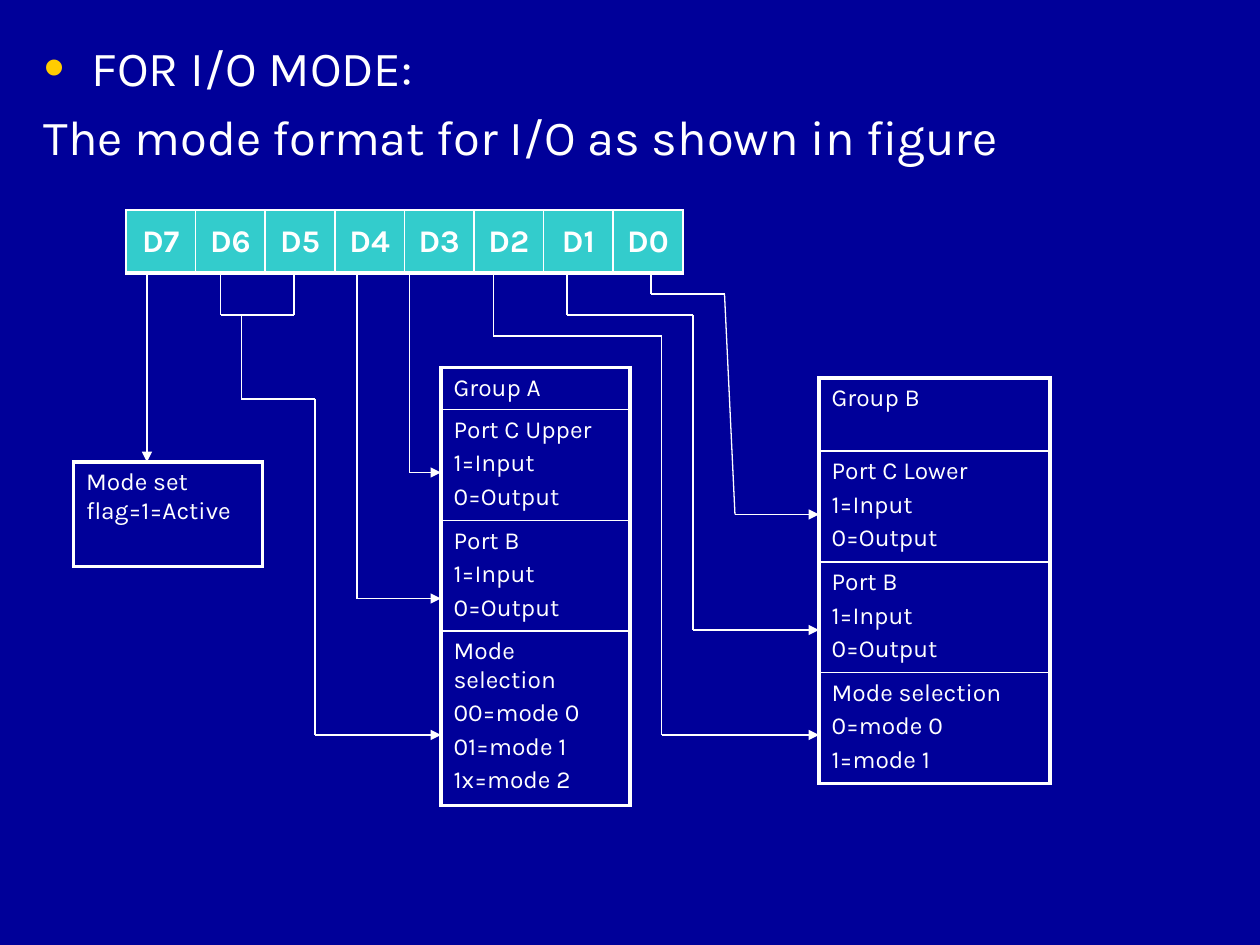
import itertools
import pptx
import pptx.util
import pptx.dml.color
import pptx.enum.shapes
import pptx.enum.text
import pptx.oxml.ns
import lxml.etree

INK = {"back": "000099", "text": "FFFFFF", "bit": "33CCCC", "dot": "FFCC00"}
FONT = "Karla"
UNIT = 1 / 12  # grid step in inches

HEAD = ["FOR I/O MODE:", "The mode format for I/O as shown in figure"]
BITS = [["D7", "D6", "D5", "D4", "D3", "D2", "D1", "D0"]]
PORT = "\n1=Input\n0=Output"
# column, row and width in grid steps, then cells and row heights in inches
BOXES = [
    (42, 35, 18,
     [["Group A"], ["Port C Upper" + PORT], ["Port B" + PORT],
      ["Mode selection\n00=mode 0\n01=mode 1\n1x=mode 2"]],
     [0.33, 0.86, 0.86, 1.24]),
    (78, 36, 22,
     [["Group B"], ["Port C Lower" + PORT], ["Port B" + PORT],
      ["Mode selection\n0=mode 0\n1=mode 1"]],
     [0.58, 0.86, 0.86, 0.86]),
    (7, 44, 18, [["Mode set flag=1=Active"]], [0.83]),
]
# corner points in grid steps, then whether the path ends in an arrow
PATHS = [
    ([(14, 26), (14, 44)], True),
    ([(21, 26), (21, 30), (28, 30), (28, 26)], False),
    ([(23, 30), (23, 38), (30, 38), (30, 70), (42, 70)], True),
    ([(34, 26), (34, 57), (42, 57)], True),
    ([(39, 26), (39, 45), (42, 45)], True),
    ([(47, 26), (47, 32), (63, 32), (63, 70), (78, 70)], True),
    ([(54, 26), (54, 30), (66, 30), (66, 60), (78, 60)], True),
    ([(62, 26), (62, 28), (69, 28), (70, 49), (78, 49)], True),
]

inch = pptx.util.Inches
qn = pptx.oxml.ns.qn


def rgb(name):
    return pptx.dml.color.RGBColor.from_string(INK[name])


def add(node, tag, **attrs):
    return lxml.etree.SubElement(node, qn(tag), attrs)


def style(par, size, bold=False, gap=0.2):
    """Format a paragraph; gap is the space before as a share of the size."""
    par.space_before = pptx.util.Pt(size * gap)
    for run in par.runs:
        run.font.name = FONT
        run.font.size = pptx.util.Pt(size)
        run.font.bold = bold
        run.font.color.rgb = rgb("text")


def edge(cell, widths):
    """Draw the left, right, top and bottom borders, widths in points."""
    props = cell._tc.get_or_add_tcPr()
    for spot, (side, width) in enumerate(zip("LRTB", widths)):
        line = lxml.etree.Element(qn("a:ln" + side), w=str(pptx.util.Pt(width)))
        fill = add(line, "a:solidFill")
        add(fill, "a:srgbClr", val=INK["text"])
        props.insert(spot, line)


def grid(slide, left, top, width, rows, tall):
    cols = len(rows[0])
    table = slide.shapes.add_table(len(rows), cols, inch(left), inch(top),
                                   inch(width), inch(sum(tall))).table
    table.first_row = table.horz_banding = False
    for row, high in zip(table.rows, tall):
        row.height = inch(high)
    for r, c in itertools.product(range(len(rows)), range(cols)):
        cell = table.cell(r, c)
        cell.text_frame.text = rows[r][c]
        yield cell, r


def header(slide):
    frame = slide.shapes.add_textbox(inch(0.25), inch(0.25),
                                     inch(9.58), inch(6.92)).text_frame
    frame.word_wrap = True
    frame.text = "\n".join(HEAD)
    for par in frame.paragraphs:
        style(par, 28)
        props = par._p.get_or_add_pPr()
        props.set("marL", str(inch(0.38)))
        props.set("indent", str(-inch(0.38)))
    props = frame.paragraphs[0]._p.get_or_add_pPr()
    add(add(props, "a:buClr"), "a:srgbClr", val=INK["dot"])
    add(props, "a:buSzPct", val="120000")
    add(props, "a:buFont", typeface="Arial")
    add(props, "a:buChar", char="•")


def bits(slide):
    for cell, _ in grid(slide, 1, 20 * UNIT, 4.42, BITS, [0.5]):
        cell.fill.solid()
        cell.fill.fore_color.rgb = rgb("bit")
        cell.vertical_anchor = pptx.enum.text.MSO_ANCHOR.MIDDLE
        par = cell.text_frame.paragraphs[0]
        par.alignment = pptx.enum.text.PP_ALIGN.CENTER
        style(par, 18, True, 0)
        edge(cell, (1, 1, 1, 3))


def boxes(slide):
    for col, row, wide, rows, tall in BOXES:
        last = len(rows) - 1
        for cell, r in grid(slide, col * UNIT, row * UNIT, wide * UNIT,
                            rows, tall):
            cell.fill.background()
            for par in cell.text_frame.paragraphs:
                style(par, 14)
            edge(cell, (2.25, 2.25, 2.25 if r == 0 else 1,
                        2.25 if r == last else 1))


def wires(slide):
    kind = pptx.enum.shapes.MSO_CONNECTOR.STRAIGHT
    for points, arrow in PATHS:
        for start, end in itertools.pairwise(points):
            spots = [inch(n * UNIT) for n in start + end]
            wire = slide.shapes.add_connector(kind, *spots)
            wire.line.color.rgb = rgb("text")
            wire.line.width = pptx.util.Pt(0.75)
            if arrow and end == points[-1]:
                add(wire.line._get_or_add_ln(), "a:tailEnd", type="triangle")
            add(wire._element.spPr, "a:effectLst")


def main():
    deck = pptx.Presentation()
    deck.slide_width, deck.slide_height = inch(10), inch(7.5)
    slide = deck.slides.add_slide(deck.slide_layouts[6])
    slide.background.fill.solid()
    slide.background.fill.fore_color.rgb = rgb("back")
    for part in (header, bits, boxes, wires):
        part(slide)
    deck.save("out.pptx")


if __name__ == "__main__":
    main()
